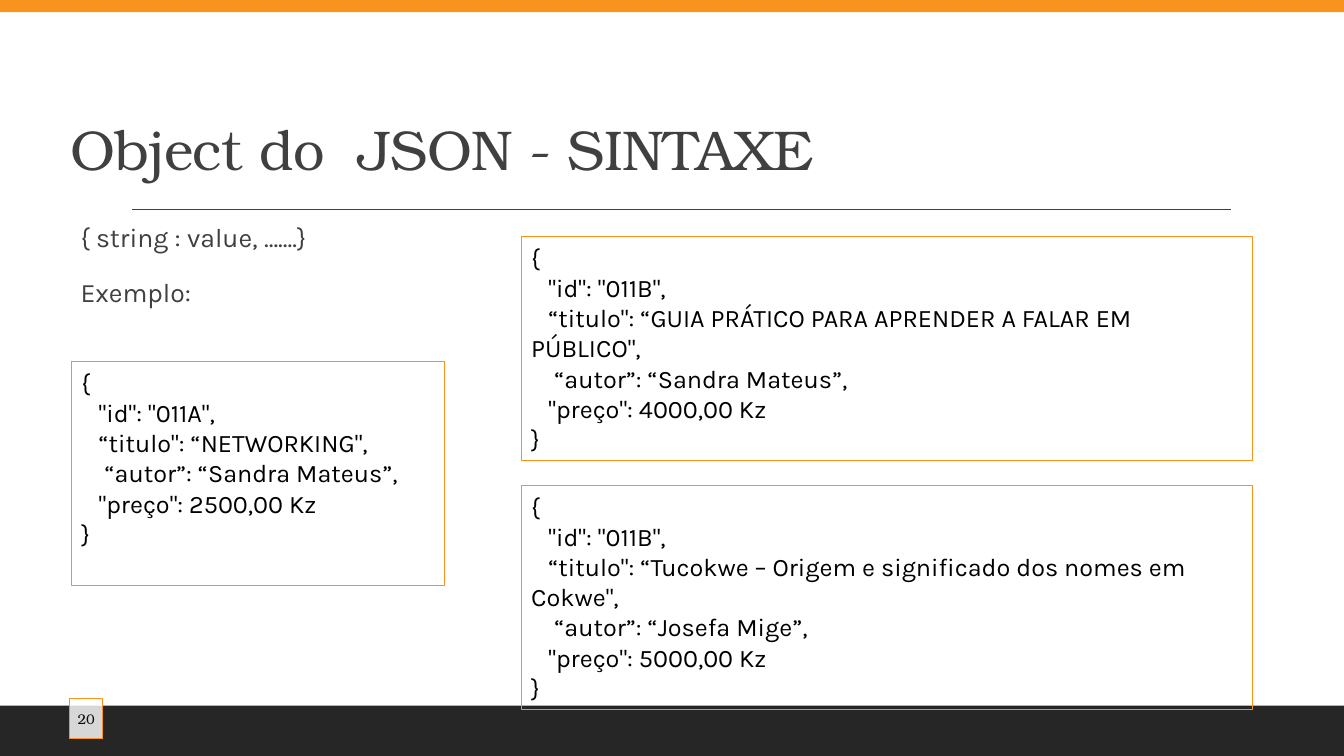
from lxml import etree
from pptx import Presentation
from pptx.dml.color import RGBColor
from pptx.enum import shapes, text
from pptx.oxml import ns
from pptx.util import Inches, Pt

ORANGE = RGBColor(0xF8, 0x93, 0x1D)
DARK = RGBColor(0x26, 0x26, 0x26)
GREY = RGBColor(0x40, 0x40, 0x40)
INK = RGBColor(0x0D, 0x0D, 0x0D)
BLACK = RGBColor(0, 0, 0)
WHITE = RGBColor(0xFF, 0xFF, 0xFF)
SERIF = "TeX Gyre Bonum"
SANS = "Karla"

# Left, top, width of each code box, then id, title, author and price
BOOKS = [
    (0.71, 3.59, 3.7, "011A", "NETWORKING", "Sandra Mateus", "2500,00"),
    (5.17, 2.35, 7.25, "011B", "GUIA PRÁTICO PARA APRENDER A FALAR EM PÚBLICO",
     "Sandra Mateus", "4000,00"),
    (5.17, 4.82, 7.25, "011B", "Tucokwe – Origem e significado dos nomes em Cokwe",
     "Josefa Mige", "5000,00"),
]
BOX_HEIGHT = 2.22
FIELD_INDENTS = [0, 0.17, 0.17, 0.23, 0.17, 0]


def style_runs(paragraph, font_name, size, color):
    for run in paragraph.runs:
        run.font.name = font_name
        run.font.size = Pt(size)
        run.font.color.rgb = color


def add_rect(slide, left, top, width, height, fill=None, line=None):
    rect = slide.shapes.add_shape(shapes.MSO_SHAPE.RECTANGLE, Inches(left),
                                  Inches(top), Inches(width), Inches(height))
    rect.shadow.inherit = False
    if fill is None:
        rect.fill.background()
    else:
        rect.fill.solid()
        rect.fill.fore_color.rgb = fill
    if line is None:
        rect.line.fill.background()
    else:
        rect.line.color.rgb = line
        rect.line.width = Pt(0.75)
    return rect


def add_rule(slide, left, right, y):
    rule = slide.shapes.add_connector(shapes.MSO_CONNECTOR.STRAIGHT, Inches(left),
                                      Inches(y), Inches(right), Inches(y))
    rule.line.color.rgb = GREY
    rule.line.width = Pt(1)
    etree.SubElement(rule._element.spPr, ns.qn("a:effectLst"))


def add_text(slide, left, top, width, height, wording):
    box = slide.shapes.add_textbox(Inches(left), Inches(top),
                                   Inches(width), Inches(height))
    box.text_frame.word_wrap = True
    box.text_frame.text = wording
    return box.text_frame


def add_title(slide, wording):
    title = add_text(slide, 0.6, 1.08, 11.82, 0.77, wording)
    title.vertical_anchor = text.MSO_ANCHOR.BOTTOM
    heading = title.paragraphs[0]
    style_runs(heading, SERIF, 40, GREY)
    heading.runs[0].font._element.set("spc", "-50")


def add_intro(slide, lines):
    intro = add_text(slide, 0.6, 2.11, 11.25, 1.23, "\n".join(lines))
    for paragraph in intro.paragraphs:
        paragraph.line_spacing = 1.1
        paragraph.space_before = Pt(12)
        paragraph.space_after = Pt(2)
        paragraph._p.get_or_add_pPr().set("marL", str(Inches(0.1)))
        style_runs(paragraph, SANS, 19, GREY)


def add_book(slide, left, top, width, book_id, title, author, price):
    code = add_rect(slide, left, top, width, BOX_HEIGHT, line=ORANGE).text_frame
    code.word_wrap = True
    code.vertical_anchor = text.MSO_ANCHOR.TOP
    code.text = "\n".join([
        "{",
        f'"id": "{book_id}",',
        f'“titulo": “{title}",',
        f"“autor”: “{author}”,",
        f'"preço": {price} Kz',
        "}",
    ])
    for paragraph, indent in zip(code.paragraphs, FIELD_INDENTS):
        paragraph.alignment = text.PP_ALIGN.LEFT
        # Only the first line is indented; wrapped lines return to the margin
        paragraph._p.get_or_add_pPr().set("indent", str(Inches(indent)))
        style_runs(paragraph, SANS, 18, BLACK)


def add_page_number(slide, number):
    badge = add_rect(slide, 0.69, 6.93, 0.33, 0.4, WHITE, ORANGE)
    white = badge._element.spPr.find(ns.qn("a:solidFill"))[0]
    etree.SubElement(white, ns.qn("a:alpha"), val="82000")
    frame = badge.text_frame
    frame.margin_left = frame.margin_right = 0
    frame.vertical_anchor = text.MSO_ANCHOR.MIDDLE
    frame.text = number
    frame.paragraphs[0].alignment = text.PP_ALIGN.CENTER
    style_runs(frame.paragraphs[0], SERIF, 10, INK)


def main():
    deck = Presentation()
    deck.slide_width, deck.slide_height = Inches(13.33), Inches(7.5)
    slide = deck.slides.add_slide(deck.slide_layouts[6])

    # Bands and rule
    add_rect(slide, 0, 7, 13.33, 0.5, DARK)
    add_rule(slide, 1.31, 12.21, 2.08)
    add_rect(slide, 0, 0, 13.33, 0.12, ORANGE)

    # Heading, page number and introduction
    add_title(slide, "Object do  JSON - SINTAXE")
    add_page_number(slide, "20")
    add_intro(slide, ["{ string : value, .......}", "Exemplo:"])

    # JSON examples
    for book in BOOKS:
        add_book(slide, *book)

    deck.save("out.pptx")


if __name__ == "__main__":
    main()
